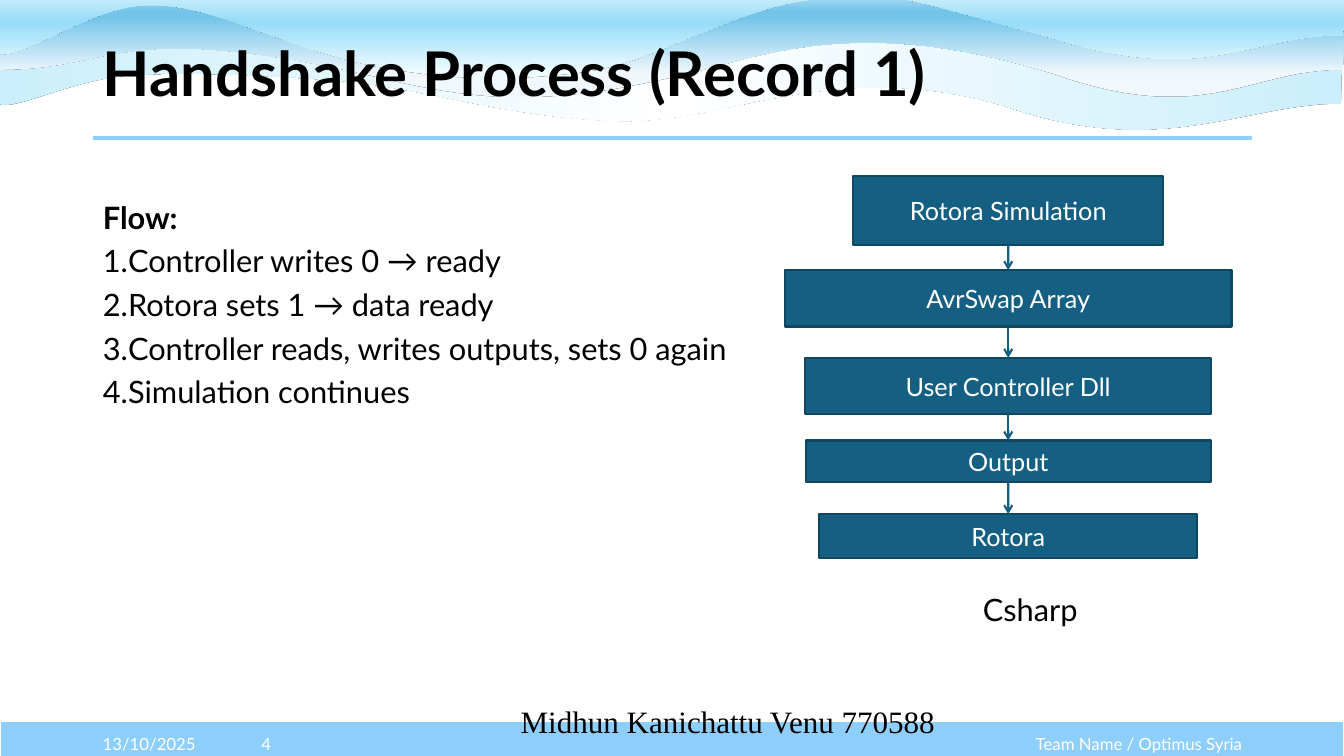
"""Build the slide that explains the handshake process."""
from lxml.etree import Element, SubElement
from pptx import Presentation
from pptx.dml.color import RGBColor
from pptx.enum.shapes import MSO_CONNECTOR as Connector, MSO_SHAPE as Shape
from pptx.enum.text import MSO_ANCHOR as Anchor, MSO_AUTO_SIZE as AutoSize, PP_ALIGN as Align
from pptx.oxml.ns import qn
from pptx.util import Inches, Pt

BLACK = RGBColor(0x00, 0x00, 0x00)
WHITE = RGBColor(0xFF, 0xFF, 0xFF)
SKY = RGBColor(0x8E, 0xCE, 0xFA)
TEAL = RGBColor(0x15, 0x60, 0x82)
DARK_TEAL = RGBColor(0x10, 0x47, 0x60)
ICE = RGBColor(0xCA, 0xEE, 0xFB)
MIST = RGBColor(0xF0, 0xF8, 0xFD)
AZURE = RGBColor(0x74, 0xC4, 0xE9)
PALE_AZURE = RGBColor(0xA2, 0xD8, 0xF0)
FROST = RGBColor(0xEF, 0xFC, 0xFF)
AQUA = RGBColor(0x96, 0xDC, 0xF8)

FONT = "Lato"
SLIDE_WIDTH, SLIDE_HEIGHT = 13.33, 7.5
LEFT, CONTENT_WIDTH = 0.92, 11.5
RIGHT = LEFT + CONTENT_WIDTH
FOOTER_TOP, FOOTER_HEIGHT = 7.18, 0.4
FLOW_CENTER = 10.0

TITLE = "Handshake Process (Record 1)"
FLOW_HEADING = "Flow:"
FLOW_STEPS = [
    "Controller writes 0 → ready",
    "Rotora sets 1 → data ready",
    "Controller reads, writes outputs, sets 0 again",
    "Simulation continues",
]
LANGUAGE = "Csharp"
AUTHOR = "Midhun Kanichattu Venu 770588"
FOOTERS = [
    ("13/10/2025", LEFT, 1.22, Align.LEFT),
    ("4", 2.13, 1.02, Align.CENTER),
    ("Team Name / Optimus Syria", RIGHT - 3.15, 3.15, Align.RIGHT),
]
FLOW_BOXES = [
    ("Rotora Simulation", 1.75, 3.07, 0.68),
    ("AvrSwap Array", 2.68, 4.43, 0.56),
    ("User Controller Dll", 3.55, 4.03, 0.56),
    ("Output", 4.37, 4.02, 0.41),
    ("Rotora", 5.1, 3.75, 0.44),
]
WAVES = [
    {"stops": [(0, ICE), (50, WHITE), (100, ICE)], "angle": 0,
     "start": (13.3, 1.03),
     "curves": [(12.37, 1.02, 11.52, 1.59, 9.99, 1.06), (8.27, 0.54, 7.21, 1.24, 6.1, 1.2),
                (4.99, 1.16, 4.21, 0.87, 3.35, 0.8), (2.49, 0.74, 1.83, 0.71, 1.27, 0.75),
                (0.71, 0.79, 0.14, 1.11, -0.02, 1.03)],
     "edge": [(-0.04, 0.3), (3.13, 0.31), (6.52, 0.34), (9.41, 0.32), (13.32, 0.34)]},
    {"stops": [(0, MIST), (74, AZURE), (83, AZURE), (100, PALE_AZURE)], "angle": 90,
     "start": (13.32, 0.69),
     "curves": [(12.39, 0.69, 11.96, 1.27, 10.44, 0.73), (8.71, 0.19, 7.73, 0.49, 7.06, 0.67),
                (5.28, 1.14, 4.59, 0.97, 3.46, 0.7), (1.13, 0.21, 1.15, 0.69, 0, 0.69)],
     "edge": [(0.01, -0.01), (3.13, 0), (6.54, -0.02), (9.46, -0.01), (13.33, 0.03)]},
    {"stops": [(0, FROST), (50, AQUA), (100, WHITE)], "angle": 90,
     "start": (13.32, 0.35),
     "curves": [(12.39, 0.35, 11.96, 0.86, 10.44, 0.38), (8.72, -0.09, 8.91, -0.07, 8.13, -0.01),
                (7.35, 0.04, 6.53, 0.62, 5.76, 0.72), (4.98, 0.82, 4.24, 0.79, 3.47, 0.6),
                (2.58, 0.36, 2.07, 0.05, 1.5, 0.05), (0.92, 0.04, 0.22, 0.61, -0.03, 0.53)],
     "edge": [(0.01, -0.27), (3.13, -0.26), (6.54, -0.28), (9.46, -0.27), (13.33, -0.24)]},
]


def place(shape, left, top, width, height):
    shape.left, shape.top = Inches(left), Inches(top)
    shape.width, shape.height = Inches(width), Inches(height)


def prepare(shape, anchor):
    frame = shape.text_frame
    frame.word_wrap = True
    frame.auto_size = AutoSize.NONE
    frame.vertical_anchor = anchor
    return frame


def write(paragraph, text, size, color, align=Align.LEFT, bold=False, font=FONT, spacing=1.0):
    paragraph.alignment = align
    paragraph.line_spacing = spacing
    paragraph.space_before = Pt(0)
    run = paragraph.add_run()
    run.text = text
    run.font.name, run.font.size, run.font.bold = font, Pt(size), bold
    run.font.color.rgb = color


def set_bullet(paragraph, numbered):
    properties = paragraph._p.get_or_add_pPr()
    indent = Inches(0.25) if numbered else 0
    properties.set("marL", str(indent))
    properties.set("indent", str(-indent))
    if numbered:
        SubElement(properties, qn("a:buFont"), typeface="+mj-lt")
        SubElement(properties, qn("a:buAutoNum"), type="arabicPeriod")
    else:
        SubElement(properties, qn("a:buNone"))


def bend(shape, curves):
    segments = list(shape._element.iter(qn("a:lnTo")))
    for segment, curve in zip(segments, curves):
        segment.tag = qn("a:cubicBezTo")
        for index in range(2):
            x, y = curve[2 * index:2 * index + 2]
            control = Element(qn("a:pt"), x=str(Inches(x) - shape.left), y=str(Inches(y) - shape.top))
            segment.insert(index, control)


def add_wave(slide, wave):
    corners = [curve[4:] for curve in wave["curves"]] + wave["edge"]
    builder = slide.shapes.build_freeform(*map(Inches, wave["start"]), scale=1.0)
    builder.add_line_segments([(Inches(x), Inches(y)) for x, y in corners], close=True)
    shape = builder.convert_to_shape()
    bend(shape, wave["curves"])
    shape.line.fill.background()
    shape.fill.gradient()
    shape.fill.gradient_angle = wave["angle"]
    stops = shape._element.spPr.find(qn("a:gradFill")).find(qn("a:gsLst"))
    stops.clear()
    for position, color in wave["stops"]:
        stop = SubElement(stops, qn("a:gs"), pos=str(position * 1000))
        SubElement(stop, qn("a:srgbClr"), val=str(color))
    shape.shadow.inherit = False
    effects = shape._element.spPr.find(qn("a:effectLst"))
    shadow = SubElement(effects, qn("a:outerShdw"), blurRad="0", dist="0", dir="0")
    SubElement(shadow, qn("a:srgbClr"), val=str(BLACK))


def add_box(slide, bounds, fill, outline):
    box = slide.shapes.add_shape(Shape.RECTANGLE, *map(Inches, bounds))
    box.shadow.inherit = False
    box.fill.solid()
    box.fill.fore_color.rgb = fill
    box.line.color.rgb, box.line.width = outline, Pt(1.5)
    return box


def add_line(slide, bounds, color, width):
    line = slide.shapes.add_connector(Connector.STRAIGHT, *map(Inches, bounds))
    line.line.color.rgb, line.line.width = color, Pt(width)
    SubElement(line._element.spPr, qn("a:effectLst"))
    return line


def add_label(slide, bounds, text, size, color, align, anchor, spacing=1.0):
    label = slide.shapes.add_textbox(*map(Inches, bounds))
    write(prepare(label, anchor).paragraphs[0], text, size, color, align, spacing=spacing)


def add_flow(slide):
    previous = None
    for text, top, width, height in FLOW_BOXES:
        box = add_box(slide, (FLOW_CENTER - width / 2, top, width, height), TEAL, DARK_TEAL)
        write(prepare(box, Anchor.MIDDLE).paragraphs[0], text, 18, WHITE, Align.CENTER)
        if previous is not None:
            arrow = add_line(slide, (0, 0, 0, 0), TEAL, 1.5)
            arrow.begin_connect(previous, 2)
            arrow.end_connect(box, 0)
            SubElement(arrow.line._get_or_add_ln(), qn("a:tailEnd"), type="arrow")
        previous = box


def fill_placeholders(slide):
    title, body, author = slide.placeholders
    for placeholder in (title, body, author):
        slide.shapes._spTree.append(placeholder._element)
    place(title, LEFT, 0.36, CONTENT_WIDTH, 0.79)
    write(prepare(title, Anchor.MIDDLE).paragraphs[0], TITLE, 44, BLACK, bold=True, spacing=0.9)

    place(body, LEFT, 1.99, CONTENT_WIDTH, 4.76)
    frame = prepare(body, Anchor.TOP)
    for index, text in enumerate([FLOW_HEADING] + FLOW_STEPS):
        paragraph = frame.add_paragraph() if index else frame.paragraphs[0]
        set_bullet(paragraph, index > 0)
        write(paragraph, text, 22, BLACK, bold=index == 0, spacing=0.8)
        paragraph.space_before = Pt(10 if index else 0)

    place(author, 4.16, 6.99, 6.12, 0.4)
    paragraph = prepare(author, Anchor.TOP).paragraphs[0]
    set_bullet(paragraph, False)
    write(paragraph, AUTHOR, 22.2, BLACK, Align.CENTER, font="Times New Roman", spacing=0.8)


def main():
    presentation = Presentation()
    presentation.slide_width, presentation.slide_height = Inches(SLIDE_WIDTH), Inches(SLIDE_HEIGHT)
    slide = presentation.slides.add_slide(presentation.slide_layouts[3])
    add_box(slide, (0, 7.15, SLIDE_WIDTH, FOOTER_HEIGHT), SKY, WHITE)
    for wave in WAVES:
        add_wave(slide, wave)
    add_line(slide, (LEFT, 1.37, RIGHT, 1.37), SKY, 3)
    fill_placeholders(slide)
    for text, left, width, align in FOOTERS:
        add_label(slide, (left, FOOTER_TOP, width, FOOTER_HEIGHT), text, 12, WHITE, align, Anchor.MIDDLE)
    add_label(slide, (9.65, 5.88, 1.3, 0.45), LANGUAGE, 22, BLACK, Align.LEFT, Anchor.TOP, 0.8)
    add_flow(slide)
    presentation.save("out.pptx")


if __name__ == "__main__":
    main()
